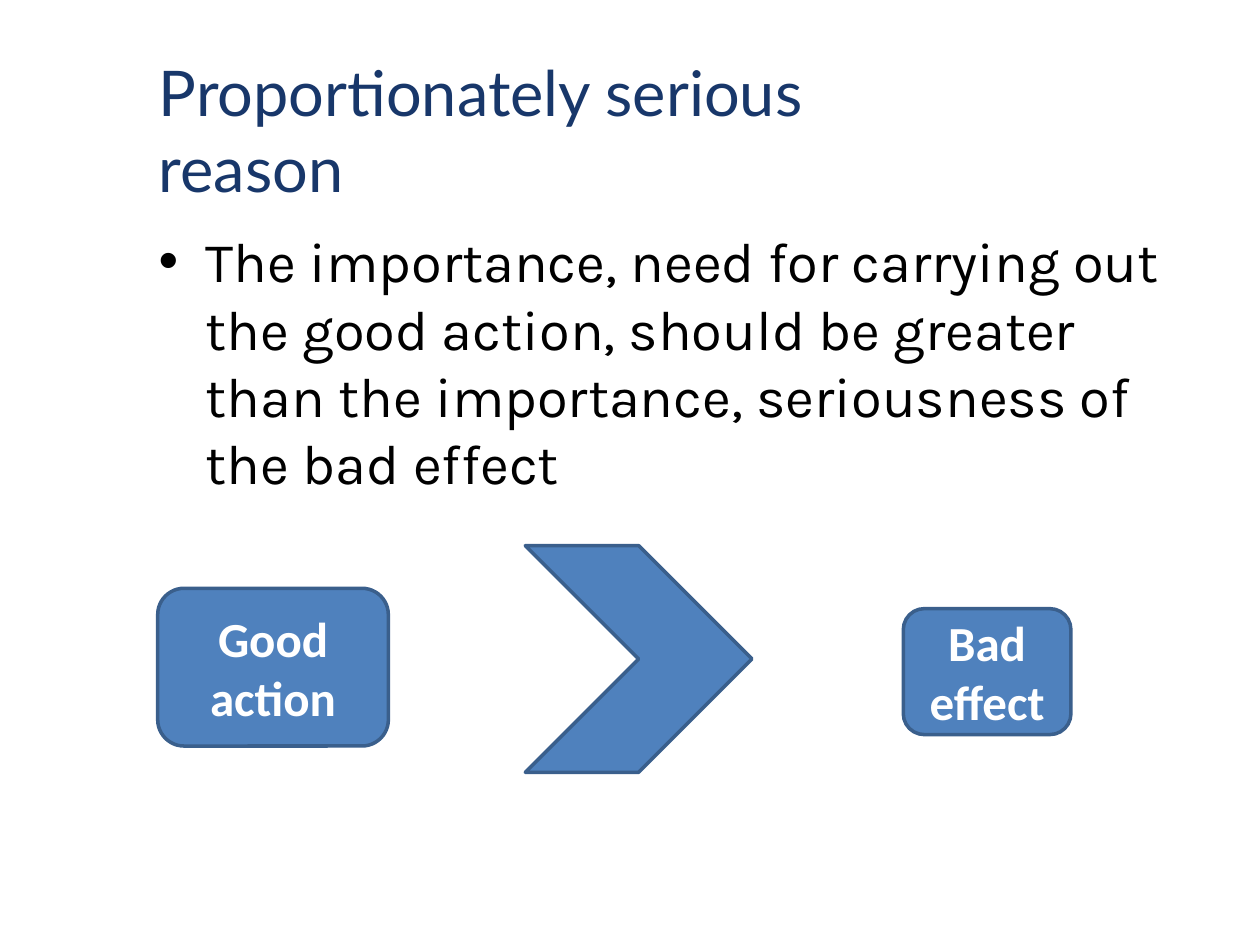
from lxml import etree
from pptx import Presentation
from pptx import util as u
from pptx.dml.color import RGBColor
from pptx.enum import shapes, text
from pptx.oxml.ns import qn

NAVY = RGBColor(0x18, 0x37, 0x6A)
BLACK = RGBColor(0, 0, 0)
WHITE = RGBColor(0xFF, 0xFF, 0xFF)
BLUE = RGBColor(0x4F, 0x81, 0xBD)
OUTLINE = RGBColor(0x3A, 0x5F, 0x8C)


def write(box, words, color, anchor, align, **font):
    frame = box.text_frame
    frame.word_wrap = True
    frame.auto_size = text.MSO_AUTO_SIZE.NONE
    frame.vertical_anchor = anchor
    para = frame.paragraphs[0]
    para.alignment = align
    span = para.add_run()
    span.text = words
    for name, value in font.items():
        setattr(span.font, name, value)
    span.font.color.rgb = color
    return para


deck = Presentation()
deck.slide_width, deck.slide_height = u.Cm(25.4), u.Cm(19.05)
page = deck.slides.add_slide(deck.slide_layouts[5])

title = page.shapes.title
title_place = {"left": 2.95, "top": 1.52, "width": 14.96, "height": 2.18}
for name, value in title_place.items():
    setattr(title, name, u.Cm(value))
write(title, "Proportionately serious reason", NAVY, text.MSO_ANCHOR.MIDDLE,
      text.PP_ALIGN.LEFT, name="Lato", size=u.Pt(36))

body = page.shapes.add_textbox(u.Cm(2.95), u.Cm(4.45), u.Cm(21.18), u.Cm(13.64))
para = write(body, "The importance, need for carrying out the good action, should be "
             "greater than the importance, seriousness of the bad effect",
             BLACK, text.MSO_ANCHOR.TOP, text.PP_ALIGN.LEFT,
             name="Karla", size=u.Pt(32))
bullet_format = para._p.get_or_add_pPr()
bullet_format.set("marL", str(u.Cm(0.95)))
bullet_format.set("indent", str(u.Cm(-0.95)))
etree.SubElement(bullet_format, qn("a:buFont")).set("typeface", "Arial")
etree.SubElement(bullet_format, qn("a:buChar")).set("char", "•")

ROUNDED = shapes.MSO_SHAPE.ROUNDED_RECTANGLE
comparison = [
    (ROUNDED, 3.18, 11.86, 4.65, 3.18, "Good action"),
    (shapes.MSO_SHAPE.CHEVRON, 10.59, 11, 4.57, 4.57, None),
    (ROUNDED, 18.21, 12.27, 3.38, 2.54, "Bad effect"),
]
for kind, left, top, width, height, label in comparison:
    shape = page.shapes.add_shape(kind, u.Cm(left), u.Cm(top), u.Cm(width), u.Cm(height))
    shape.shadow.inherit = False
    shape.fill.solid()
    shape.fill.fore_color.rgb = BLUE
    shape.line.color.rgb = OUTLINE
    shape.line.width = u.Pt(2)
    if label:
        write(shape, label, WHITE, text.MSO_ANCHOR.MIDDLE, text.PP_ALIGN.CENTER,
              name="Calibri", size=u.Pt(28), bold=True)

deck.save("out.pptx")
